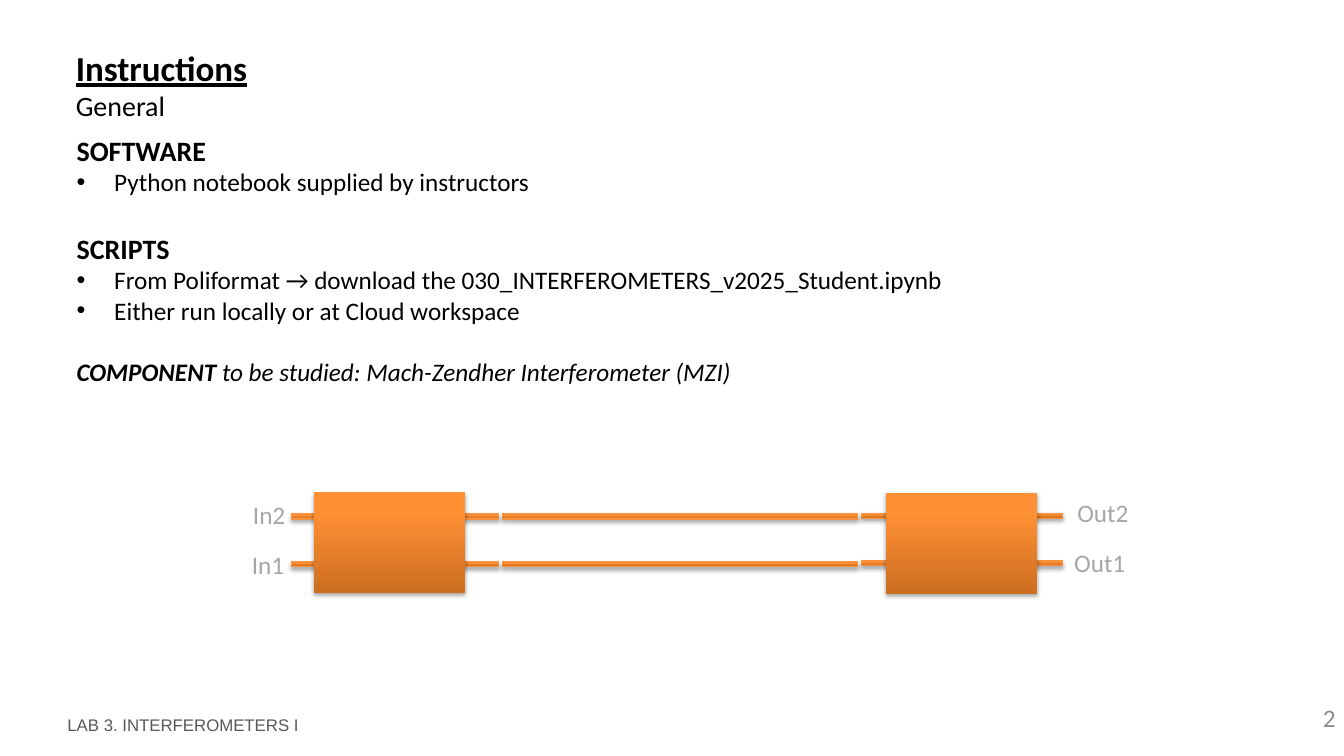
from dataclasses import dataclass

from lxml import etree
from pptx import Presentation
from pptx.dml.color import RGBColor
from pptx.enum.shapes import MSO_SHAPE
from pptx.enum.text import MSO_ANCHOR, PP_ALIGN
from pptx.oxml import parse_xml
from pptx.oxml.ns import nsdecls, qn
from pptx.util import Cm, Pt


@dataclass(frozen=True)
class Theme:
    ink: str = "000000"
    label: str = "A6A6A6"
    number: str = "8C8C8C"
    footer: str = "585858"
    edge: str = "F69240"
    gradient: tuple = ((0, "CC6E20"), (80, "FF9034"), (100, "FF9136"))
    font: str = "Calibri"
    footer_font: str = "Arial"
    title_size: int = 25
    heading_size: int = 20
    text_size: int = 18
    footer_size: int = 12


THEME = Theme()
TITLE, SUBTITLE = "Instructions", "General"
SECTIONS = [
    ("SOFTWARE", 0, ["Python notebook supplied by instructors"]),
    ("SCRIPTS", 24.4, [
        "From Poliformat → download the 030_INTERFEROMETERS_v2025_Student.ipynb",
        "Either run locally or at Cloud workspace",
    ]),
]
COMPONENT = ("COMPONENT ", "to be studied: Mach-Zendher Interferometer (MZI)")
COMPONENT_GAP = 22
FOOTER, PAGE_NUMBER = "LAB 3. INTERFEROMETERS I", "2"

ARMS = (12.67, 12.95, 8.94)
COUPLERS = [
    {"ports": (7.34, 12.95, 5.23), "body": (7.92, 12.4)},
    {"ports": (21.72, 12.93, 5.05), "body": (22.33, 12.42)},
]
PORT_LABELS = [
    ("In1", 3.96, 13.72, PP_ALIGN.RIGHT),
    ("In2", 3.99, 12.47, PP_ALIGN.RIGHT),
    ("Out1", 26.82, 13.67, PP_ALIGN.LEFT),
    ("Out2", 26.9, 12.4, PP_ALIGN.LEFT),
]
GUIDE_HEIGHT, GUIDE_PITCH = 0.13, 1.2
COUPLER_SIZE = (3.81, 2.54)
LABEL_SIZE = (3.45, 1.02)
BULLET_INDENT = 0.95


def style(font, size, color, name=THEME.font, bold=None, italic=None):
    font.size, font.name = Pt(size), name
    font.color.rgb = RGBColor.from_string(color)
    font.bold, font.italic = bold, italic


def add_text(slide, box, inset=True):
    frame = slide.shapes.add_textbox(*map(Cm, box)).text_frame
    frame.word_wrap = True
    if not inset:
        frame.margin_left = frame.margin_right = 0
        frame.margin_top = frame.margin_bottom = 0
    return frame


def add_line(slide, box, text, size, color, name=THEME.font,
             align=PP_ALIGN.LEFT, inset=True):
    frame = add_text(slide, box, inset)
    line = frame.paragraphs[0]
    line.text, line.alignment = text, align
    style(line.font, size, color, name)
    return frame


def add_bullet(paragraph):
    props = paragraph._p.get_or_add_pPr()
    indent = int(Cm(BULLET_INDENT))
    props.set("marL", str(indent))
    props.set("indent", str(-indent))
    etree.SubElement(props, qn("a:buFont"), typeface="Arial")
    etree.SubElement(props, qn("a:buChar"), char="•")


def add_orange_block(slide, left, top, width, height, outlined):
    block = slide.shapes.add_shape(
        MSO_SHAPE.RECTANGLE, *map(Cm, (left, top, width, height)))
    block.fill.background()
    if outlined:
        block.line.color.rgb = RGBColor.from_string(THEME.edge)
        block.line.width = Pt(0.75)
    else:
        block.line.fill.background()
    block.shadow.inherit = False
    props = block._element.spPr
    stops = "".join(
        f'<a:gs pos="{pos * 1000}"><a:srgbClr val="{color}"/></a:gs>'
        for pos, color in THEME.gradient)
    props.replace(props.find(qn("a:noFill")), parse_xml(
        f'<a:gradFill {nsdecls("a")} rotWithShape="1"><a:gsLst>{stops}</a:gsLst>'
        '<a:lin ang="16200000" scaled="0"/></a:gradFill>'))
    props.find(qn("a:effectLst")).append(parse_xml(
        f'<a:outerShdw {nsdecls("a")} blurRad="40000" dist="23000" dir="5400000" '
        'rotWithShape="0"><a:srgbClr val="000000"><a:alpha val="35000"/>'
        '</a:srgbClr></a:outerShdw>'))


def add_guide_pair(slide, left, top, width):
    for row in range(2):
        add_orange_block(slide, left, top + row * GUIDE_PITCH, width,
                         GUIDE_HEIGHT, True)


def add_title(slide):
    heading = add_text(slide, (1.91, 1.17, 17.09, 1.96), False).paragraphs[0]
    title = heading.add_run()
    title.text = TITLE
    style(title.font, THEME.title_size, THEME.ink, bold=True)
    title.font.underline = True
    heading.add_line_break()
    subtitle = heading.add_run()
    subtitle.text = SUBTITLE
    style(subtitle.font, THEME.heading_size, THEME.ink)


def add_instructions(slide):
    frame = add_text(slide, (1.68, 3.23, 30.68, 13.77))
    for index, (name, gap, items) in enumerate(SECTIONS):
        heading = frame.add_paragraph() if index else frame.paragraphs[0]
        heading.text = name
        if gap:
            heading.space_before = Pt(gap)
        style(heading.font, THEME.heading_size, THEME.ink, bold=True)
        for item in items:
            bullet = frame.add_paragraph()
            bullet.text = item
            add_bullet(bullet)
            style(bullet.font, THEME.text_size, THEME.ink)
    component = frame.add_paragraph()
    component.space_before = Pt(COMPONENT_GAP)
    for part, bold in zip(COMPONENT, (True, False)):
        run = component.add_run()
        run.text = part
        style(run.font, THEME.text_size, THEME.ink, bold=bold, italic=True)


def add_interferometer(slide):
    add_guide_pair(slide, *ARMS)
    for coupler in COUPLERS:
        add_guide_pair(slide, *coupler["ports"])
        add_orange_block(slide, *coupler["body"], *COUPLER_SIZE, False)
    for label, left, top, align in PORT_LABELS:
        add_line(slide, (left, top, *LABEL_SIZE), label, THEME.text_size,
                 THEME.label, align=align)


def main():
    deck = Presentation()
    deck.slide_width, deck.slide_height = Cm(33.87), Cm(19.05)
    slide = deck.slides.add_slide(deck.slide_layouts[6])
    add_title(slide)
    add_line(slide, (25.86, 17.7, 7.8, 0.97), PAGE_NUMBER, THEME.text_size,
             THEME.number, align=PP_ALIGN.RIGHT, inset=False)
    footer = add_line(slide, (1.7, 18, 7.62, 0.51), FOOTER, THEME.footer_size,
                      THEME.footer, THEME.footer_font, inset=False)
    footer.vertical_anchor = MSO_ANCHOR.MIDDLE
    add_instructions(slide)
    add_interferometer(slide)
    deck.save("out.pptx")


if __name__ == "__main__":
    main()
